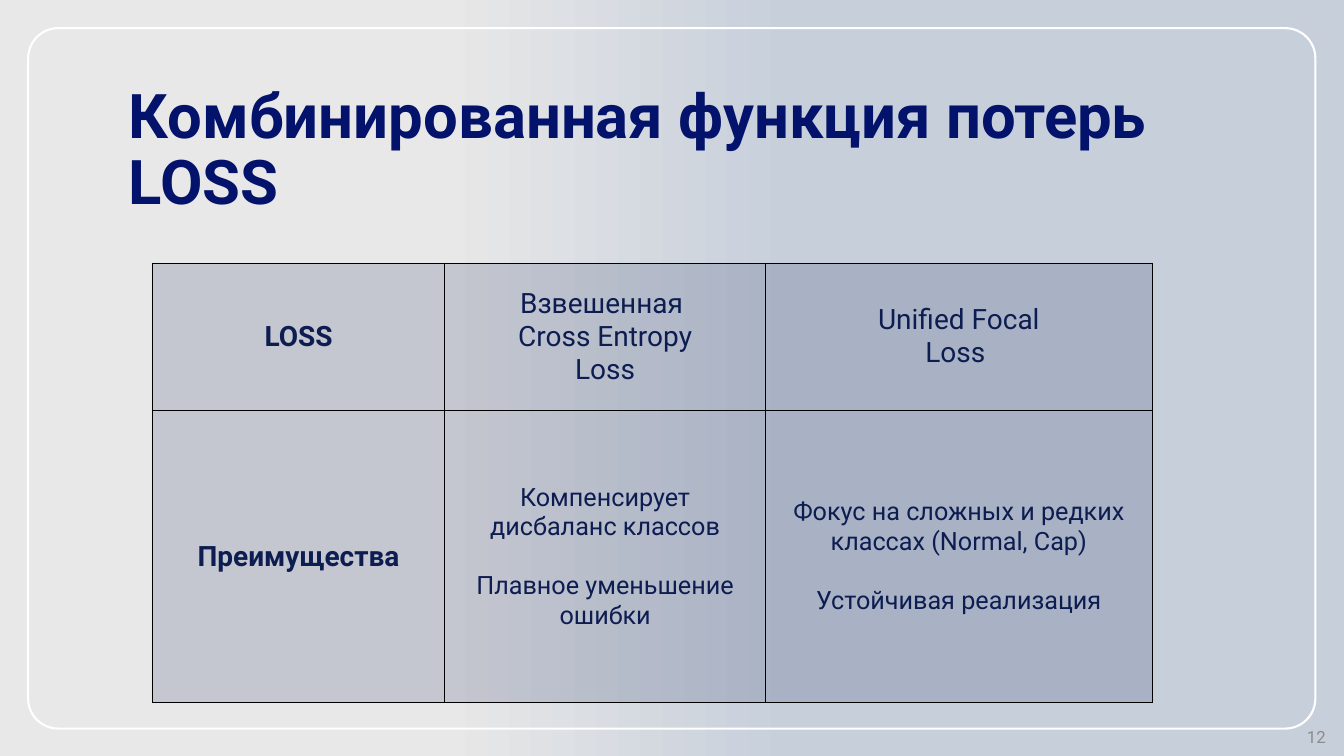
from lxml import etree
from pptx import Presentation
from pptx.dml.color import RGBColor
from pptx.enum import shapes, text
from pptx.oxml import ns
from pptx.util import Cm, Pt

NAVY = "0D1D51"


def rgb(code):
    return RGBColor.from_string(code)


def add_run(para, words, size, color, bold=False):
    run = para.add_run()
    run.text = words
    font = run.font
    font.name, font.size, font.bold = "Roboto", Pt(size), bold
    font.color.rgb = rgb(color)


deck = Presentation()
deck.slide_width, deck.slide_height = Cm(33.87), Cm(19.05)
slide = deck.slides.add_slide(deck.slide_layouts[6])

# Background gradient
fill = slide.background.fill
fill.gradient()
fill.gradient_angle = 0
for stop, (place, color) in zip(fill.gradient_stops, [(0.33, "E8E8E8"), (0.59, "C7CFDB")]):
    stop.position = place
    stop.color.rgb = rgb(color)

# White rounded frame
frame = slide.shapes.add_shape(shapes.MSO_SHAPE.ROUNDED_RECTANGLE,
                               Cm(0.71), Cm(0.71), Cm(32.44), Cm(17.65))
frame.adjustments[0] = 0.043
frame.shadow.inherit = False
frame.fill.background()
frame.line.color.rgb = rgb("FFFFFF")
frame.line.width = Pt(1.5)

# Title
title = slide.shapes.add_textbox(Cm(3), Cm(1.02), Cm(29.18), Cm(4.6)).text_frame
title.word_wrap = True
title.vertical_anchor = text.MSO_ANCHOR.BOTTOM
para = title.paragraphs[0]
para.line_spacing = 0.9
add_run(para, "Комбинированная функция потерь", 44, "03126A", True)
para.add_line_break()
add_run(para, "LOSS", 44, "03126A", True)

# Page number
page = slide.shapes.add_textbox(Cm(26.04), Cm(18.24), Cm(7.62), Cm(0.64)).text_frame
page.word_wrap = True
page.vertical_anchor = text.MSO_ANCHOR.MIDDLE
para = page.paragraphs[0]
para.alignment = text.PP_ALIGN.RIGHT
add_run(para, "12", 12, "8C8C8C")

# Loss table: size of body text, gap between paragraphs, cells
rows = [
    (20, 0, [["LOSS"],
             ["Взвешенная ", "Cross Entropy", "Loss"],
             ["Unified Focal", "Loss "]]),
    (18, 21, [["Преимущества"],
              ["Компенсирует дисбаланс классов", "Плавное уменьшение ошибки"],
              ["Фокус на сложных и редких классах (Normal, Cap)",
               "Устойчивая реализация"]]),
]
widths, heights = [7.37, 8.08, 9.75], [3.71, 7.37]
table = slide.shapes.add_table(2, 3, Cm(3.84), Cm(6.63),
                               Cm(sum(widths)), Cm(sum(heights))).table
table.first_row = table.horz_banding = False
for col, width in zip(table.columns, widths):
    col.width = Cm(width)

for r, (size, gap, cells) in enumerate(rows):
    table.rows[r].height = Cm(heights[r])
    for c, lines in enumerate(cells):
        cell = table.cell(r, c)
        cell.vertical_anchor = text.MSO_ANCHOR.MIDDLE
        for i, line in enumerate(lines):
            para = cell.text_frame.paragraphs[0] if i == 0 else cell.text_frame.add_paragraph()
            para.alignment = text.PP_ALIGN.CENTER
            if i and gap:
                para.space_before = Pt(gap)
            add_run(para, line, 20 if c == 0 else size, NAVY, c == 0)

        # Translucent fill
        cell.fill.solid()
        cell.fill.fore_color.rgb = rgb(NAVY)
        props = cell._tc.tcPr
        tint = props.find(".//" + ns.qn("a:srgbClr"))
        etree.SubElement(tint, ns.qn("a:alpha"), val="16000")

        # Black borders
        for i, side in enumerate(["lnL", "lnR", "lnT", "lnB"]):
            edge = etree.Element(ns.qn("a:" + side), w=str(Pt(1)))
            solid = etree.SubElement(edge, ns.qn("a:solidFill"))
            etree.SubElement(solid, ns.qn("a:srgbClr"), val="000000")
            props.insert(i, edge)

deck.save("out.pptx")
